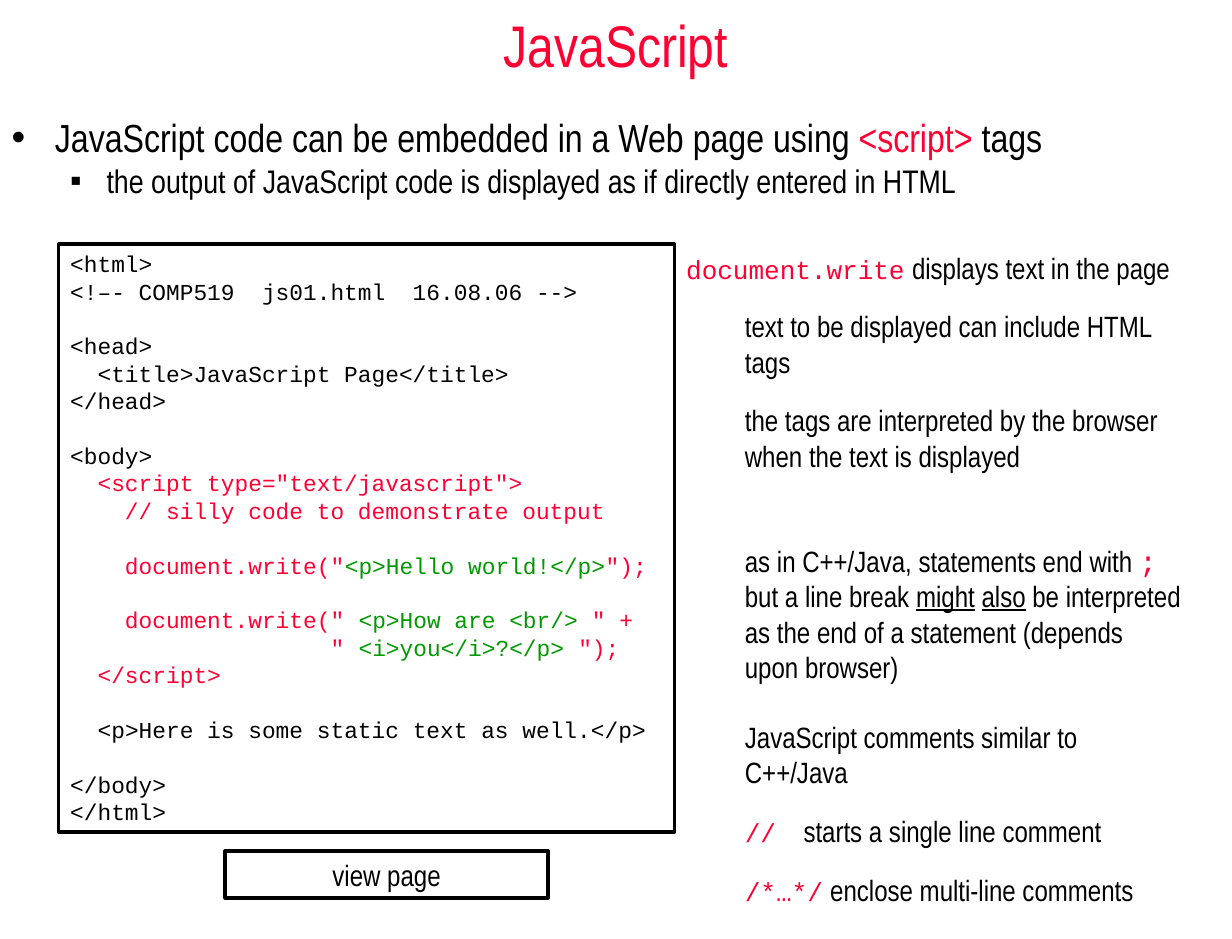
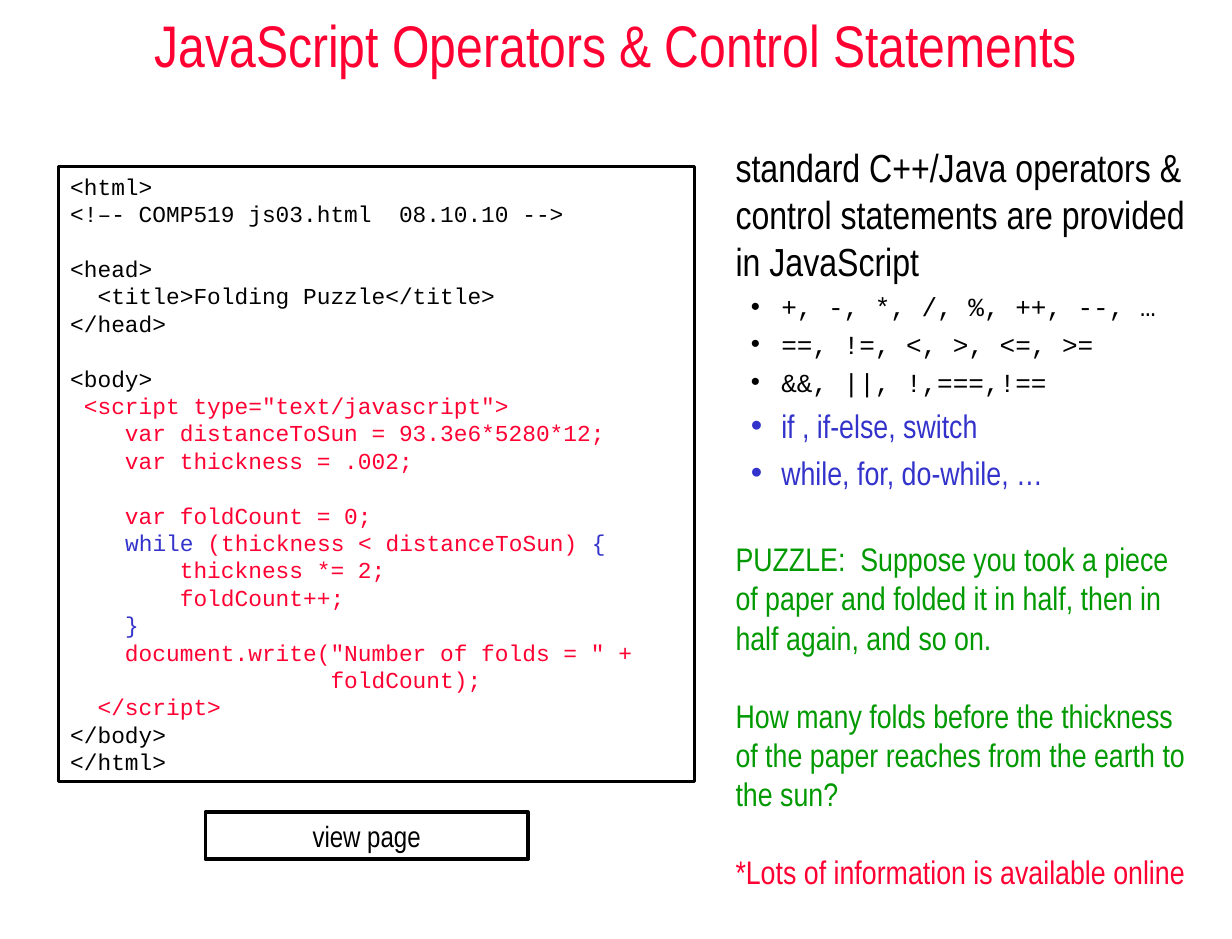
from lxml.etree import SubElement as Sub
from pptx import Presentation
from pptx.dml.color import RGBColor as RGB
from pptx.enum.shapes import MSO_SHAPE as Shape
from pptx.enum.text import MSO_ANCHOR as Anchor, PP_ALIGN as Align
from pptx.oxml.ns import qn
from pptx.util import Inches, Pt

INK = RGB(0, 0, 0)
RED = RGB(255, 0, 51)
GREEN = RGB(0, 153, 0)
BLUE = RGB(51, 51, 204)
SANS, MONO, SERIF = "Arial Narrow", "Courier New", "Times New Roman"
WIDE, HIGH = 10.5, 8
LEAD = 1.2
CODE = 14

HEAD = (SANS, 36, RED)
LARGE = (SANS, 24, INK)
MID = (SANS, 20, INK)
BODY = (SANS, 18, INK)
WORD = (MONO, 16, RED)
SIGN = (MONO, 16, INK)
GAP = (SERIF, 18, INK)
FLOW = (SANS, 20, BLUE)
QUIZ = (SANS, 20, GREEN)
NOTE = (SANS, 20, RED)

STEP = {"left": 0.5}
NEXT = {**STEP, "before": 12 * LEAD}
ITEM = {"left": 0.39, "hang": 0.26, "mark": "•", "level": 1}
OPS = {**ITEM, "before": 4}
KEYS = {**ITEM, "before": 5, "tint": BLUE}
BREAK = {"before": 20 * LEAD}

INTRO = [
    ({"left": 0.37, "hang": 0.37, "mark": "•"},
     ("JavaScript code can be embedded in a Web page using ", LARGE),
     ("<script>", (SANS, 24, RED)), (" tags", LARGE)),
    ({"left": 0.81, "hang": 0.31, "mark": "▪", "level": 1,
      "before": 5, "lines": 0.8},
     ("the output of JavaScript code is displayed as if directly entered in HTML", MID)),
]

HELLO = [
    (INK, """<html>
<!–- COMP519  js01.html  16.08.06 -->

<head>
  <title>JavaScript Page</title>
</head>

<body>
"""),
    (RED, """  <script type="text/javascript">
    // silly code to demonstrate output

    document.write(\""""),
    (GREEN, "<p>Hello world!</p>"),
    (RED, """");

    document.write(" """),
    (GREEN, "<p>How are <br/> "),
    (RED, """" +
                   " """),
    (GREEN, "<i>you</i>?</p> "),
    (RED, """");
  </script>

  """),
    (INK, """<p>Here is some static text as well.</p>

</body>
</html>"""),
]

FACTS = [
    ({}, ("document.write", WORD), (" ", GAP), ("displays text in the page", BODY)),
    (NEXT, ("text to be displayed can include HTML tags", BODY)),
    (NEXT, ("the tags are interpreted by the browser when the text is displayed", BODY)),
    ({**STEP, "before": 36 * LEAD},
     ("as in C++/Java, statements end with ", BODY), (";", (MONO, 18, RED))),
    (STEP, ("but a line break ", BODY), ("might", BODY, True), (" ", BODY),
     ("also", BODY, True),
     (" be interpreted as the end of a statement (depends upon browser)", BODY)),
    ({**STEP, "before": 18 * LEAD}, ("JavaScript comments similar to C++/Java", BODY)),
    ({**NEXT, "tab": 1.2}, ("//", WORD), ("\t", GAP),
     ("starts a single line comment", BODY)),
    (NEXT, ("/*…*/", WORD), (" ", GAP), ("enclose multi-line comments", BODY)),
]

FOLD = [
    (INK, """<html>
<!–- COMP519 js03.html  08.10.10 -->

<head>
  <title>Folding Puzzle</title>
</head>

<body>
"""),
    (RED, """ <script type="text/javascript">
    var distanceToSun = 93.3e6*5280*12;
    var thickness = .002;

    var foldCount = 0;
    """),
    (BLUE, "while"),
    (RED, " (thickness < distanceToSun) "),
    (BLUE, "{\n"),
    (RED, """        thickness *= 2;
        foldCount++;
    """),
    (BLUE, "}\n"),
    (RED, """    document.write("Number of folds = " +
                   foldCount);
  </script>
"""),
    (INK, "</body>\n</html>"),
]

RULES = [
    ({}, ("standard C++/Java operators & control statements are provided in JavaScript", LARGE)),
    (OPS, ("+, -, *, /, %, ++, --, …", SIGN)),
    (OPS, ("==, !=, <, >, <=, >=", SIGN)),
    (OPS, ("&&, ||, !,===,!==", SIGN)),
    (KEYS, ("if , if-else, switch", FLOW)),
    (KEYS, ("while, for, do-while, …", FLOW)),
    ({"before": 20 * LEAD + 5},
     ("PUZZLE:  Suppose you took a piece of paper and folded it in half, "
      "then in half again, and so on.", QUIZ)),
    (BREAK, ("How many folds before the thickness of the paper reaches "
             "from the earth to the sun?", QUIZ)),
    (BREAK, ("*Lots of information is available online", NOTE)),
]

PAGES = [
    {"title": "JavaScript",
     "texts": [((0, 0.92, WIDE, 1.13), INTRO), ((5.75, 2.08, 4.42, 5.4), FACTS)],
     "code": ((0.5, 2.08, 5.25, 5.01), HELLO), "link": (1.92, 7.25)},
    {"title": "JavaScript Operators & Control Statements",
     "texts": [((6.17, 1.17, 4.08, 6.48), RULES)],
     "code": ((0.5, 1.42, 5.42, 5.24), FOLD), "link": (1.75, 6.92)},
]


def add_mark(para, opts):
    props = para._p.get_or_add_pPr()
    left, hang = opts.get("left", 0), opts.get("hang", 0)
    props.set("marL", str(Inches(left)))
    props.set("indent", str(-Inches(hang)))
    if "mark" in opts:
        tint = Sub(Sub(props, qn("a:buClr")), qn("a:srgbClr"))
        tint.set("val", str(opts.get("tint", INK)))
        Sub(props, qn("a:buFont")).set("typeface", "Arial")
        Sub(props, qn("a:buChar")).set("char", opts["mark"])
    else:
        Sub(props, qn("a:buNone"))
    if "tab" in opts:
        stop = Sub(Sub(props, qn("a:tabLst")), qn("a:tab"))
        stop.set("pos", str(Inches(opts["tab"])))
        stop.set("algn", "l")


def write(frame, paras, align=Align.LEFT):
    frame.word_wrap = True
    for num, (opts, *runs) in enumerate(paras):
        para = frame.add_paragraph() if num else frame.paragraphs[0]
        para.alignment = align
        para.level = opts.get("level", 0)
        para.space_before = Pt(opts.get("before", 0))
        if "lines" in opts:
            para.line_spacing = opts["lines"]
        add_mark(para, opts)
        for text, (face, size, tint), *under in runs:
            run = para.add_run()
            run.text = text
            font = run.font
            font.name, font.size = face, Pt(size)
            font.color.rgb = tint
            if under:
                font.underline = True


def parse_code(parts):
    lines = [[]]
    for tint, text in parts:
        for num, piece in enumerate(text.split("\n")):
            if num:
                lines.append([])
            if piece:
                lines[-1].append((piece, (MONO, CODE, tint)))
    paras, blank = [], 0
    for line in lines:
        if line:
            paras.append(({"before": blank * CODE * LEAD}, *line))
            blank = 0
        else:
            blank += 1
    return paras


def add_text(slide, area, paras, align=Align.LEFT):
    box = slide.shapes.add_textbox(*map(Inches, area))
    write(box.text_frame, paras, align)
    return box


def add_frame(slide, area, paras, align=Align.LEFT):
    box = slide.shapes.add_shape(Shape.RECTANGLE, *map(Inches, area))
    box.shadow.inherit = False
    box.fill.background()
    box.line.color.rgb = INK
    box.line.width = Pt(2.25)
    box.text_frame.vertical_anchor = Anchor.TOP
    write(box.text_frame, paras, align)


def add_page(deck, page):
    slide = deck.slides.add_slide(deck.slide_layouts[6])
    title = add_text(slide, (0, 0, WIDE, 0.75), [({}, (page["title"], HEAD))], Align.CENTER)
    title.text_frame.vertical_anchor = Anchor.MIDDLE
    for area, paras in page["texts"]:
        add_text(slide, area, paras)
    area, parts = page["code"]
    add_frame(slide, area, parse_code(parts))
    add_frame(slide, (*page["link"], 2.75, 0.4), [({}, ("view page", BODY))], Align.CENTER)


def main():
    deck = Presentation()
    deck.slide_width, deck.slide_height = Inches(WIDE), Inches(HIGH)
    for page in PAGES:
        add_page(deck, page)
    deck.save("out.pptx")


if __name__ == "__main__":
    main()
